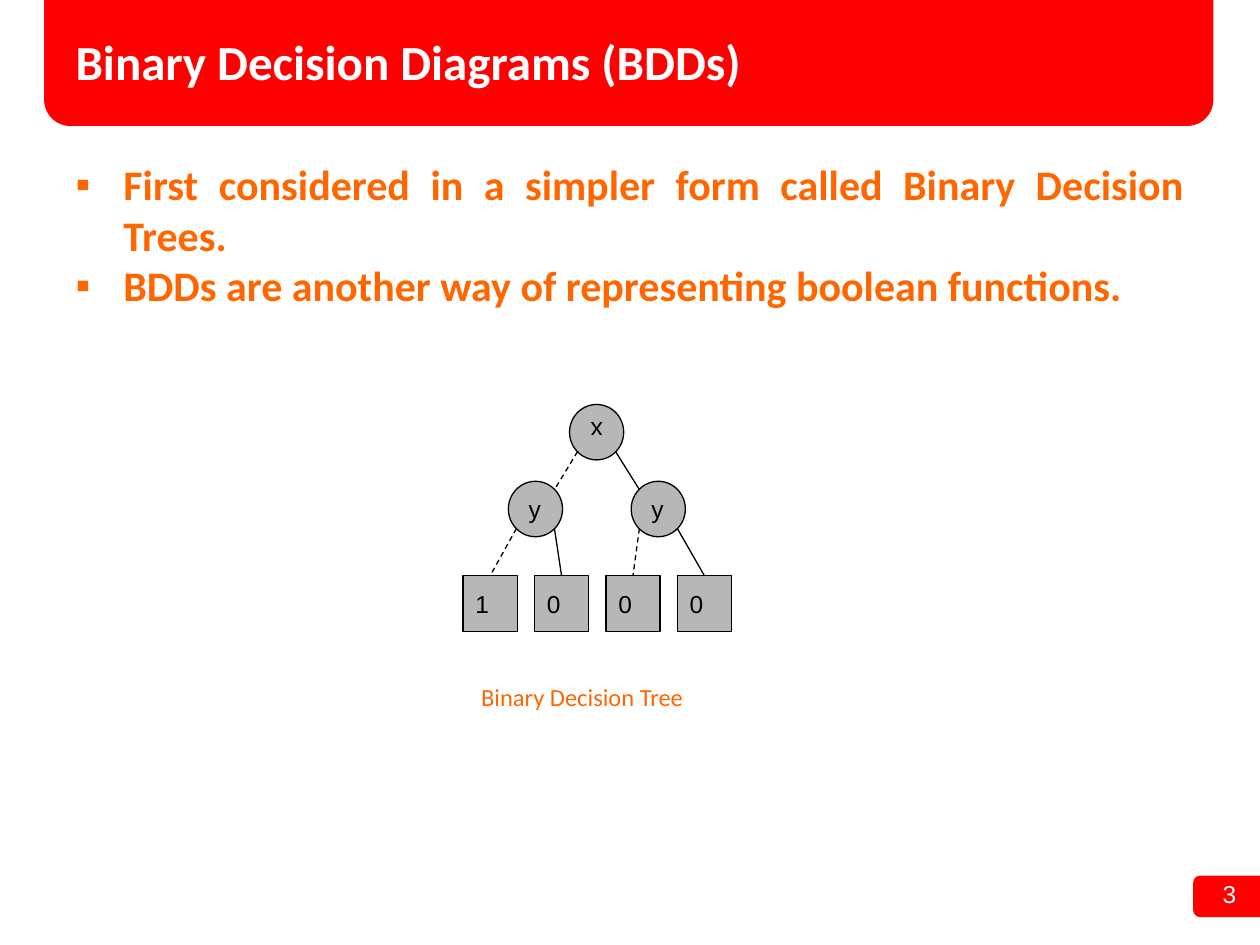
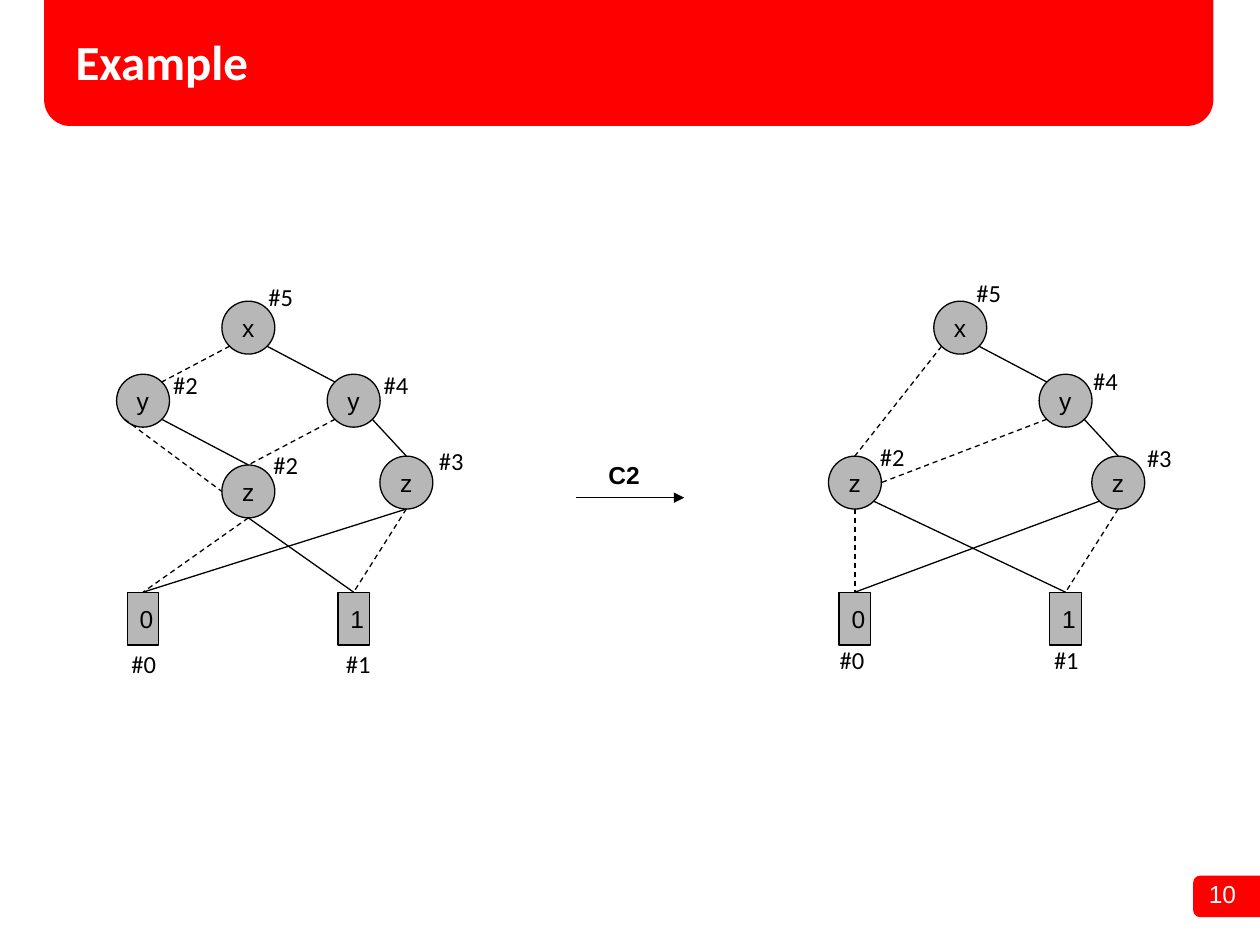
from lxml import etree
from pptx import Presentation
from pptx import util as u
from pptx.dml.color import RGBColor
from pptx.enum import dml, shapes, text
from pptx.oxml import ns

RED = RGBColor(0xFF, 0x00, 0x00)
ORANGE = RGBColor(0xFF, 0x66, 0x00)
GRAY = RGBColor(0xB7, 0xB7, 0xB7)
BLACK = RGBColor(0x00, 0x00, 0x00)
WHITE = RGBColor(0xFF, 0xFF, 0xFF)
SANS, HEAD = "Arial", "Calibri"

KIND = shapes.MSO_SHAPE
ALIGN = text.PP_ALIGN
MID = text.MSO_ANCHOR.MIDDLE
TOP = text.MSO_ANCHOR.TOP

# Points on a node's rim, as shares of its width and height from its centre
DIAG = 0.35
SIDES = {"n": (0, -0.5), "s": (0, 0.5), "w": (-0.5, 0), "e": (0.5, 0),
         "nw": (-DIAG, -DIAG), "ne": (DIAG, -DIAG),
         "sw": (-DIAG, DIAG), "se": (DIAG, DIAG)}


class Deck:
    """Style and current slide; lengths are in a grid of 100 columns by 75 rows."""

    def __init__(self):
        self.prs = Presentation()
        self.prs.slide_width, self.prs.slide_height = u.Inches(10), u.Inches(7.5)

    def col(self, n):
        return round(self.prs.slide_width * n / 100)

    def row(self, n):
        return round(self.prs.slide_height * n / 75)

    def box(self, c, r, w, h):
        return self.col(c), self.row(r), self.col(w), self.row(h)

    def page(self, layout, title, num):
        self.slide = self.prs.slides.add_slide(self.prs.slide_layouts[layout])
        self.pen = self.slide.shapes
        self.band(94.7, 69.5, 7, 3.3)
        self.band(3.5, -2.5, 92.8, 12.5)
        self.label(num, 90.8, 69.3, 8.3, 3.4, SANS, WHITE, align=ALIGN.RIGHT)
        head = self.pen.title
        self.place(head, 5, 2.8, 89.5, 4)
        self.frame(head, MID)
        self.say(head.text_frame.paragraphs[0], title, 28, HEAD, WHITE, True)

    def place(self, shape, *area):
        shape.left, shape.top, shape.width, shape.height = self.box(*area)

    def frame(self, shape, anchor=TOP, pad=0.05):
        tf = shape.text_frame
        tf.word_wrap, tf.auto_size = True, text.MSO_AUTO_SIZE.NONE
        tf.vertical_anchor = anchor
        tf.margin_left = tf.margin_right = u.Inches(0.1)
        tf.margin_top = tf.margin_bottom = u.Inches(pad)
        return tf

    def say(self, para, words, size, font, color, bold=False, align=ALIGN.LEFT):
        para.alignment = align
        run = para.add_run()
        run.text = words
        run.font.size, run.font.name, run.font.bold = u.Pt(size), font, bold
        run.font.color.rgb = color

    def band(self, *area):
        shape = self.pen.add_shape(KIND.ROUNDED_RECTANGLE, *self.box(*area))
        shape.shadow.inherit = False
        shape.fill.solid()
        shape.fill.fore_color.rgb = RED
        shape.line.fill.background()
        # Bands lie behind the placeholders
        tree = self.slide.shapes.title.element.getparent()
        tree.insert(2, shape.element)

    def label(self, words, c, r, w=4.5, h=3.4, font=HEAD, color=BLACK,
              bold=False, align=ALIGN.LEFT, pad=0.05):
        shape = self.pen.add_textbox(*self.box(c, r, w, h))
        tf = self.frame(shape, pad=pad)
        self.say(tf.paragraphs[0], words, 14, font, color, bold, align)

    def list(self, items, *area):
        body = self.slide.placeholders[1]
        self.place(body, *area)
        tf = self.frame(body)
        for i, item in enumerate(items):
            para = tf.add_paragraph() if i else tf.paragraphs[0]
            para.space_before = u.Pt(0)
            self.say(para, item, 24, HEAD, ORANGE, True, ALIGN.JUSTIFY)
            prop = para._p.get_or_add_pPr()
            prop.set("marL", str(u.Inches(0.38)))
            prop.set("indent", str(-u.Inches(0.38)))
            tint = etree.SubElement(prop, ns.qn("a:buClr"))
            etree.SubElement(tint, ns.qn("a:srgbClr"), val=str(ORANGE))
            etree.SubElement(prop, ns.qn("a:buFont"), typeface=SANS)
            etree.SubElement(prop, ns.qn("a:buChar"), char="▪")

    def node(self, words, c, r, w, h, turn=0):
        """Draw a node centred on c, r: digits are leaves, letters are variables."""
        kind = KIND.FLOWCHART_PROCESS if words.isdigit() else KIND.FLOWCHART_CONNECTOR
        shape = self.pen.add_shape(kind, *self.box(c - w / 2, r - h / 2, w, h))
        shape.shadow.inherit = False
        shape.fill.solid()
        shape.fill.fore_color.rgb = GRAY
        shape.line.color.rgb, shape.line.width = BLACK, u.Pt(0.75)
        shape.rotation = turn
        tf = self.frame(shape, MID, 0.1)
        align = ALIGN.CENTER if turn else ALIGN.LEFT
        self.say(tf.paragraphs[0], words, 14, SANS, BLACK, align=align)

    def line(self, c1, r1, c2, r2, dash=False, arrow=False):
        link = self.pen.add_connector(
            shapes.MSO_CONNECTOR.STRAIGHT,
            self.col(c1), self.row(r1), self.col(c2), self.row(r2))
        link.line.color.rgb, link.line.width = BLACK, u.Pt(0.75)
        if dash:
            link.line.dash_style = dml.MSO_LINE.DASH
        prop = link.element.spPr
        if arrow:
            etree.SubElement(prop.find(ns.qn("a:ln")), ns.qn("a:tailEnd"), type="triangle")
        etree.SubElement(prop, ns.qn("a:effectLst"))

    def tree(self, nodes, low, high):
        """Draw nodes, then low (dashed) and high (solid) edges, each 'node side node side'."""
        for name, place in nodes.items():
            self.node(name[0], *place)
        for edges, dash in ((low, True), (high, False)):
            for edge in edges:
                a, out, b, into = edge.split()
                self.line(*self.rim(nodes[a], out), *self.rim(nodes[b], into), dash)

    def rim(self, place, side):
        c, r, w, h = place[:4]
        dx, dy = SIDES[side]
        return c + dx * w, r + dy * h

    def graph(self, left, spots, tags, low, high):
        """Group a decision graph on its own columns and rows, then tag its nodes."""
        step, rows = 4.18, (26, 31.8, 38.3, 49.1)
        nodes = {}
        for name, (c, r, *drop) in spots.items():
            wide = 2.5 if name.isdigit() else 4.2
            nodes[name] = (left + c * step, rows[r] + sum(drop), wide, 4.2)
        self.pen = self.slide.shapes.add_group_shape().shapes
        self.tree(nodes, low, high)
        self.pen = self.slide.shapes
        for name, (words, dx, dy) in tags.items():
            self.label(words, nodes[name][0] + dx, nodes[name][1] + dy)


deck = Deck()

# Binary decision tree
deck.page(1, "Binary Decision Diagrams (BDDs)", "3")
deck.list(["First considered in a simpler form called Binary Decision Trees.",
           "BDDs are another way of representing boolean functions."],
          5, 12.1, 90, 14.7)
size = (4.3, 4.4)
nodes = {"x": (47.35, 34.3, *size, 180),
         "y1": (42.5, 40.4, *size), "y2": (52.25, 40.4, *size)}
# Only the first character of a node's name shows
for i, leaf in enumerate(("1a", "0b", "0c", "0d")):
    nodes[leaf] = (38.9 + 5.67 * i, 47.9, *size)
deck.tree(nodes,
          low=["x sw y1 ne", "y1 sw 1a n", "y2 sw 0c n"],
          high=["x se y2 nw", "y1 se 0b n", "y2 se 0d n"])
deck.label("Binary Decision Tree", 37.2, 53.1, 26, 5.2, color=ORANGE,
           align=ALIGN.JUSTIFY, pad=0.1)

# Reduction by rule C2: before, arrow, after
deck.page(5, "Example", "10")
deck.graph(
    11.35,
    {"x": (2, 0), "y1": (0, 1), "y2": (4, 1), "z1": (2, 2, 0.7), "z2": (5, 2),
     "0": (0, 3), "1": (4, 3)},
    {"x": ("#5", 0.6, -4.1), "y1": ("#2", 1.4, -2.9), "y2": ("#4", 1.4, -2.9),
     "z1": ("#2", 1, -3.8), "z2": ("#3", 1.6, -3.4),
     "0": ("#0", -1.9, 1.9), "1": ("#1", -1.6, 1.9)},
    low=["x sw y1 ne", "y1 sw z1 w", "y2 sw z1 n", "z1 s 0 n", "z2 s 1 n"],
    high=["x se y2 nw", "y1 se z1 n", "y2 se z2 n", "z1 s 1 n", "z2 s 0 n"])
deck.line(45.7, 39.5, 54.3, 39.5, arrow=True)
deck.label("C2", 47.3, 35.5, 5.4, 2.2, SANS, bold=True, pad=0.1)
deck.graph(
    67.85,
    {"x": (2, 0), "y": (4, 1), "z1": (0, 2), "z2": (5, 2), "0": (0, 3), "1": (4, 3)},
    {"x": ("#5", 0.3, -4.4), "y": ("#4", 1.2, -3.2),
     "z1": ("#2", 1, -3.7), "z2": ("#3", 1.3, -3.6),
     "0": ("#0", -2.2, 1.6), "1": ("#1", -1.9, 1.6)},
    low=["x sw z1 n", "y sw z1 e", "z1 s 0 n", "z2 s 1 n"],
    high=["x se y nw", "y se z2 n", "z1 se 1 n", "z2 sw 0 n"])

deck.prs.save("out.pptx")
